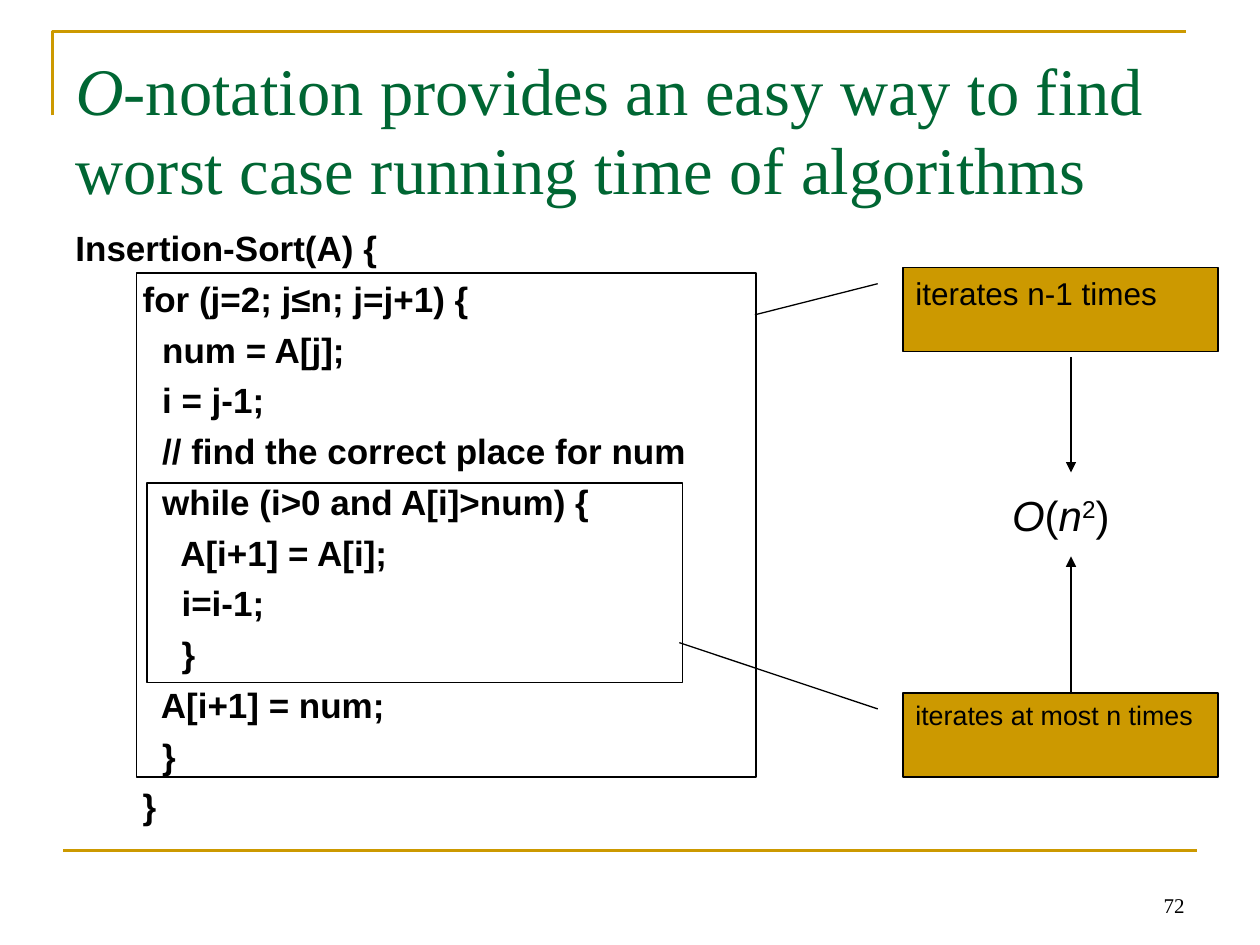
from lxml import etree
from pptx import Presentation, util as u
from pptx.dml.color import RGBColor
from pptx.enum import shapes as sh, text as tx
from pptx.oxml.ns import qn

GOLD = RGBColor(0xCC, 0x99, 0x00)
GREEN = RGBColor(0x00, 0x66, 0x33)
BLACK = RGBColor(0, 0, 0)
UNIT = u.Inches(1) / 12  # the grid has twelve steps to the inch


def grid(*steps):
    return [round(step * UNIT) for step in steps]


def write(shape, lines, size, font="Arial", color=BLACK, bold=False, wrap=True,
          align=tx.PP_ALIGN.LEFT, anchor=tx.MSO_ANCHOR.TOP, pitch=None, gap=0):
    """Fill a shape; each line is a list of (text, style) runs, style i or sup."""
    frame = shape.text_frame
    frame.auto_size = tx.MSO_AUTO_SIZE.NONE
    frame.word_wrap = wrap
    frame.vertical_anchor = anchor
    for n, line in enumerate(lines):
        para = frame.add_paragraph() if n else frame.paragraphs[0]
        para.alignment = align
        para.space_before = u.Pt(gap if n else 0)
        if pitch:
            para.line_spacing = u.Pt(pitch)
        for words, style in line:
            run = para.add_run()
            run.text = words
            run.font.size, run.font.name = u.Pt(size), font
            run.font.bold, run.font.italic = bold, style == "i"
            run.font.color.rgb = color
            if style == "sup":
                run.font._element.set("baseline", "30000")
    return frame


deck = Presentation()
deck.slide_width, deck.slide_height = grid(120, 90)
slide = deck.slides.add_slide(deck.slide_layouts[5])
items = slide.shapes

# Frame corner and footer rule
pen = items.build_freeform(*grid(5, 11))
pen.add_line_segments([grid(5, 3), grid(113, 3)], close=False)
corner = pen.convert_to_shape()
corner.shadow.inherit = False
corner.fill.background()
corner.line.color.rgb, corner.line.width = GOLD, u.Pt(1.5)

# Footer rule and the two arrows towards the result
for ends, color, width, arrow in [
    ((6, 81, 114, 81), GOLD, 1.5, False),
    ((102, 34, 102, 45), BLACK, 0.75, True),
    ((102, 66, 102, 53), BLACK, 0.75, True),
]:
    rule = items.add_connector(sh.MSO_CONNECTOR.STRAIGHT, *grid(*ends))
    rule.line.color.rgb, rule.line.width = color, u.Pt(width)
    if arrow:
        etree.SubElement(rule.line._get_or_add_ln(), qn("a:tailEnd"), type="triangle")
    etree.SubElement(rule._element.spPr, qn("a:effectLst"))

# Title
title = items.title
title.left, title.top, title.width, title.height = grid(6, 3.6, 108, 15)
frame = write(title, [[
    ("O", "i"),
    ("-notation provides an easy way to find worst case running time of algorithms", ""),
]], 38, font="Times New Roman", color=GREEN, pitch=45)
frame.margin_top = u.Inches(0.1)

# Code listing
code = [
    "Insertion-Sort(A) {",
    "  for (j=2; j≤n; j=j+1) {",
    "    num = A[j];",
    "    i = j-1;",
    "    // find the correct place for num",
    "    while (i>0 and A[i]>num) {",
    "      A[i+1] = A[i];",
    "      i=i-1;",
    "      }",
    "    A[i+1] = num;",
    "    }",
    "  }",
]
body = items.add_textbox(*grid(6, 21, 87, 59.4))
frame = write(body, [[(line, "")] for line in code], 20, bold=True, pitch=24, gap=5)
for para in frame.paragraphs[1:]:
    para._p.get_or_add_pPr().set("marL", str(u.Inches(0.38)))

# Loop outlines and callouts
rect, call = sh.MSO_SHAPE.RECTANGLE, sh.MSO_SHAPE.LINE_CALLOUT_1
for kind, place, note, size, tip in [
    (rect, (13, 26, 59, 48), "", 0, ()),
    (rect, (14, 46, 51, 19), "", 0, ()),
    (call, (86, 25.5, 30, 8), "iterates n-1 times", 18, (0.56, -0.47)),
    (call, (86, 66, 30, 8), "iterates at most n times", 15.3, (-0.6, -0.71)),
]:
    box = items.add_shape(kind, *grid(*place))
    box.shadow.inherit = False
    box.line.color.rgb, box.line.width = BLACK, u.Pt(0.75)
    if note:
        box.fill.solid()
        box.fill.fore_color.rgb = GOLD
        for n, share in enumerate((0.19, -0.08, *tip)):
            box.adjustments[n] = share
        write(box, [[(note, "")]], size)
    else:
        box.fill.background()

# Result and slide number
result = items.add_textbox(*grid(95.2, 46, 11.6, 6))
write(result, [[("O", "i"), ("(", ""), ("n", "i"), ("2", "sup"), (")", "")]],
      24, wrap=False)
number = items.add_textbox(*grid(86, 82, 28, 6))
write(number, [[("72", "")]], 12, font="Times New Roman",
      align=tx.PP_ALIGN.RIGHT, anchor=tx.MSO_ANCHOR.BOTTOM)

deck.save("out.pptx")
